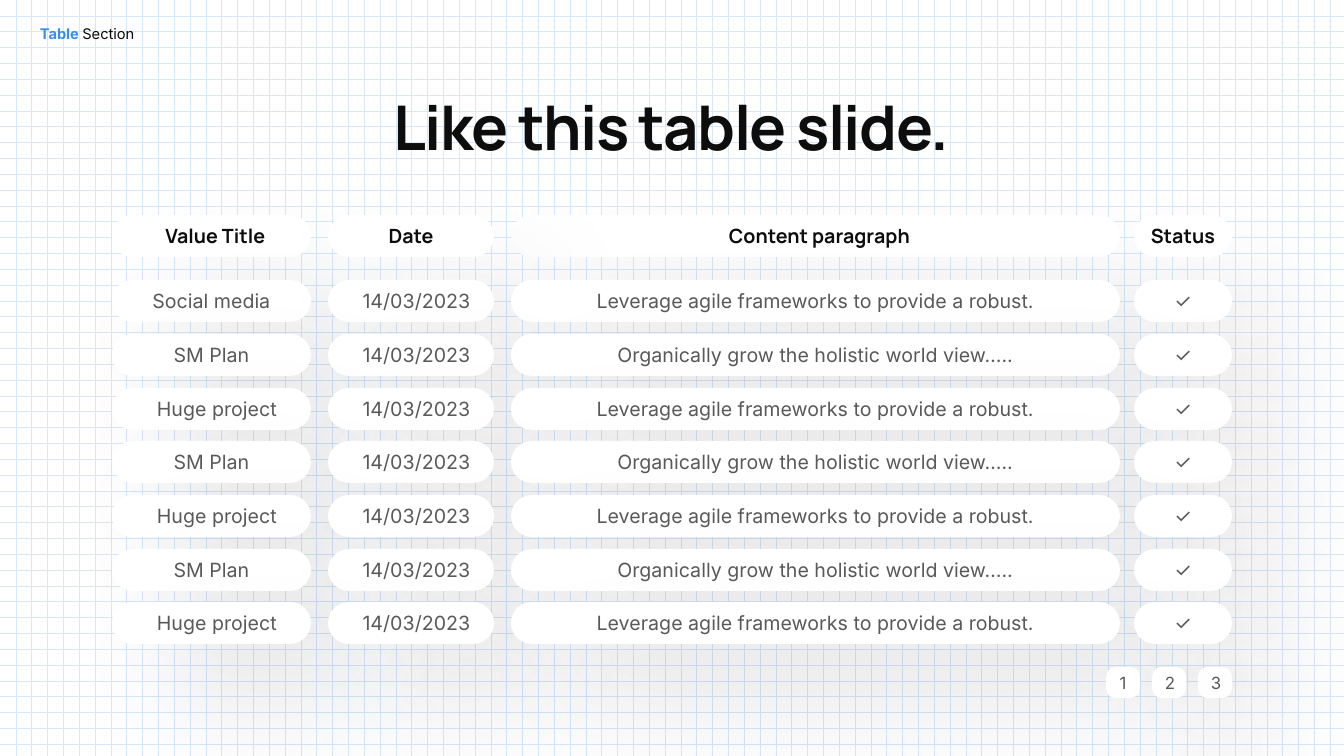
from dataclasses import dataclass

import lxml.etree
import pptx
import pptx.dml.color
import pptx.enum.dml
import pptx.enum.shapes
import pptx.enum.text
import pptx.oxml.ns
import pptx.util

SLIDE_WIDTH, SLIDE_HEIGHT = 1344, 756
EMU_PER_PX = 12192000 / SLIDE_WIDTH
COLORS = {
    "white": "FFFFFF",
    "grid": "D7E8FB",
    "ink": "0D0D0D",
    "body": "595959",
    "blue": "398EEB",
    "green": "11D073",
    "shadow": "000000",
}
PILL_HEIGHT = 42
HEADER_TOP = 215
FIRST_ROW_TOP, ROW_PITCH = 280, 53.75
PAGER_LEFT, PAGER_TOP, PAGER_PITCH = 1106, 667, 46
INSET = 10


@dataclass(frozen=True)
class Column:
    left: int
    width: int


@dataclass(frozen=True)
class Cell:
    text: str
    indent: int = 0


@dataclass(frozen=True)
class TextStyle:
    font: str
    size: float
    color: str
    bold: bool = False


VALUE, DATE, CONTENT, STATUS = COLUMNS = (
    Column(112, 199),
    Column(328, 166),
    Column(511, 609),
    Column(1134, 98),
)
HEADERS = (
    (VALUE, Cell("Value Title", 8)),
    (CONTENT, Cell("Content paragraph", 8)),
    (STATUS, Cell("Status")),
    (DATE, Cell("Date")),
)
LEVERAGE = Cell("Leverage agile frameworks to provide a robust.")
ORGANIC = Cell("Organically grow the holistic world view…..")
HUGE_PROJECT = (Cell("Huge project", 11), LEVERAGE)
SM_PLAN = (Cell("SM Plan"), ORGANIC)
ROWS = ((Cell("Social media"), LEVERAGE),) + (SM_PLAN, HUGE_PROJECT) * 3
ROW_DATE = Cell("14/03/2023", 11)
CHECK = Cell("✓")

TITLE_STYLE = TextStyle("Manrope", 44, "ink", True)
HEADER_STYLE = TextStyle("Manrope", 14, "ink", True)
ROW_STYLE = TextStyle("Inter", 14, "body")
PAGER_STYLE = TextStyle("Inter", 12, "body")


def px(length: float) -> pptx.util.Emu:
    return pptx.util.Emu(round(length * EMU_PER_PX))


def rgb(name: str) -> pptx.dml.color.RGBColor:
    return pptx.dml.color.RGBColor.from_string(COLORS[name])


def style_paragraph(paragraph, style: TextStyle) -> None:
    paragraph.alignment = pptx.enum.text.PP_ALIGN.CENTER
    paragraph.font.name = style.font
    paragraph.font.size = pptx.util.Pt(style.size)
    paragraph.font.bold = style.bold
    paragraph.font.color.rgb = rgb(style.color)


def add_soft_shadow(shape) -> None:
    shape.shadow.inherit = False
    qn = pptx.oxml.ns.qn
    effects = shape._element.spPr.find(qn("a:effectLst"))
    shadow = lxml.etree.SubElement(
        effects,
        qn("a:outerShdw"),
        blurRad=str(pptx.util.Pt(80)),
        dist=str(pptx.util.Pt(60)),
        dir=str(50 * 60000),
        algn="tl",
        rotWithShape="0",
    )
    tint = lxml.etree.SubElement(shadow, qn("a:srgbClr"), val=COLORS["shadow"])
    lxml.etree.SubElement(tint, qn("a:alpha"), val="10000")


def add_pill(slide, column: Column, top: int, height: int, rounding: float,
             cell: Cell, style: TextStyle) -> None:
    pill = slide.shapes.add_shape(
        pptx.enum.shapes.MSO_SHAPE.ROUNDED_RECTANGLE,
        px(column.left), px(top), px(column.width), px(height),
    )
    pill.adjustments[0] = rounding
    pill.fill.solid()
    pill.fill.fore_color.rgb = rgb("white")
    pill.line.fill.background()
    add_soft_shadow(pill)
    frame = pill.text_frame
    frame.vertical_anchor = pptx.enum.text.MSO_ANCHOR.MIDDLE
    frame.margin_left = px(INSET + cell.indent)
    frame.margin_right = px(INSET)
    frame.text = cell.text
    style_paragraph(frame.paragraphs[0], style)


def set_background(slide) -> None:
    fill = slide.background.fill
    fill.patterned()
    fill.pattern = pptx.enum.dml.MSO_PATTERN.DOTTED_GRID
    fill.fore_color.rgb = rgb("grid")
    fill.back_color.rgb = rgb("white")


def add_section_label(slide) -> None:
    label = slide.shapes.add_textbox(px(30), px(20), px(120), px(28))
    label.text_frame.word_wrap = False
    paragraph = label.text_frame.paragraphs[0]
    paragraph.font.name = "Inter"
    paragraph.font.size = pptx.util.Pt(10.5)
    topic = paragraph.add_run()
    topic.text = "Table "
    topic.font.bold = True
    topic.font.fill.gradient()
    topic.font.fill.gradient_angle = 315
    stops = topic.font.fill.gradient_stops
    for stop, color, position in zip(stops, ("blue", "green"), (0, 0.88)):
        stop.color.rgb = rgb(color)
        stop.position = position
    section = paragraph.add_run()
    section.text = "Section"
    section.font.color.rgb = rgb("ink")


def set_title(slide) -> None:
    title = slide.shapes.title
    title.left, title.top, title.width, title.height = map(px, (116, 84, 1111, 85))
    frame = title.text_frame
    frame.text = "Like this table slide."
    frame.auto_size = pptx.enum.text.MSO_AUTO_SIZE.NONE
    frame.vertical_anchor = pptx.enum.text.MSO_ANCHOR.TOP
    paragraph = frame.paragraphs[0]
    style_paragraph(paragraph, TITLE_STYLE)
    paragraph.runs[0]._r.get_or_add_rPr().set("spc", "-110")


def main() -> None:
    deck = pptx.Presentation()
    deck.slide_width, deck.slide_height = px(SLIDE_WIDTH), px(SLIDE_HEIGHT)
    slide = deck.slides.add_slide(deck.slide_layouts[5])
    set_background(slide)
    add_section_label(slide)
    set_title(slide)
    for column, header in HEADERS:
        add_pill(slide, column, HEADER_TOP, PILL_HEIGHT, 0.5, header, HEADER_STYLE)
    for index, (value, content) in enumerate(ROWS):
        top = round(FIRST_ROW_TOP + index * ROW_PITCH)
        for column, cell in zip(COLUMNS, (value, ROW_DATE, content, CHECK)):
            add_pill(slide, column, top, PILL_HEIGHT, 0.5, cell, ROW_STYLE)
    for page in (1, 3, 2):
        button = Column(PAGER_LEFT + (page - 1) * PAGER_PITCH, 34)
        add_pill(slide, button, PAGER_TOP, 31, 0.32, Cell(str(page)), PAGER_STYLE)
    deck.save("out.pptx")


if __name__ == "__main__":
    main()
